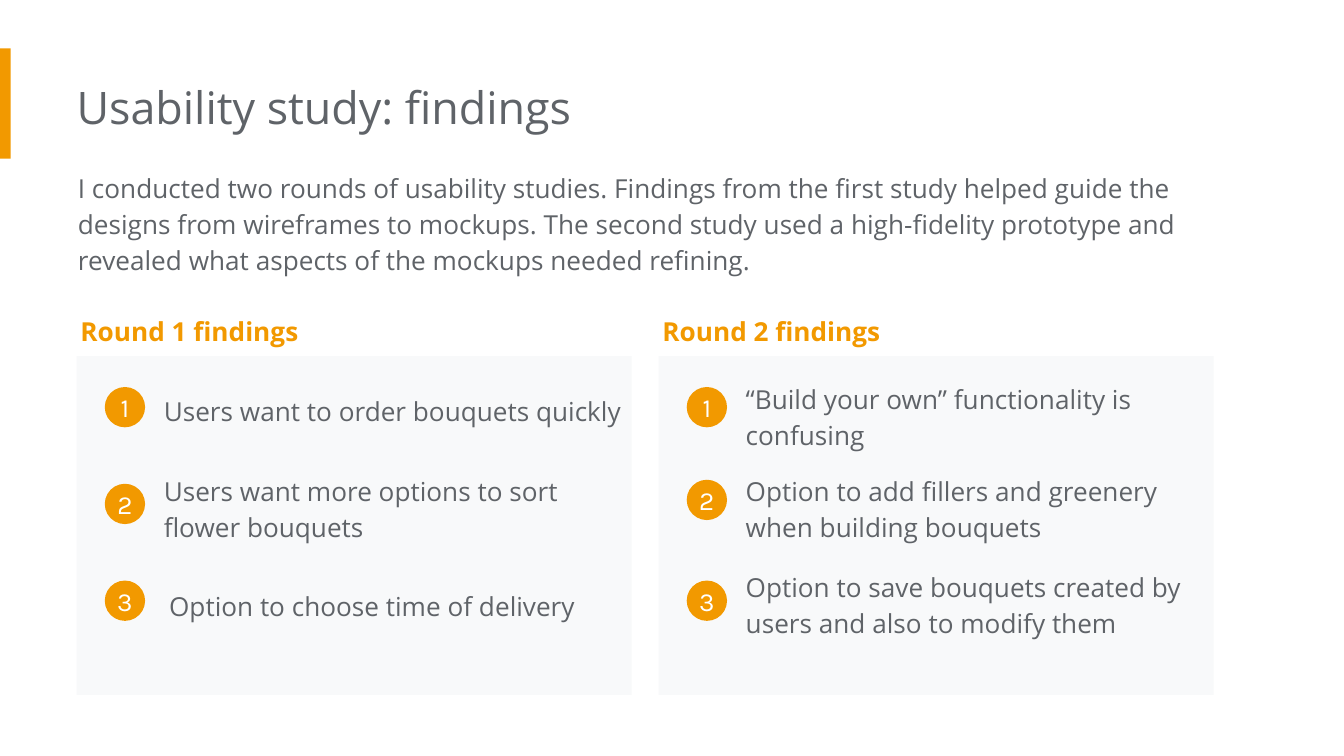
from pptx import Presentation
from pptx.dml.color import RGBColor
from pptx.enum.shapes import MSO_SHAPE as Preset
from pptx.enum.text import MSO_ANCHOR as Anchor, PP_ALIGN as Align
from pptx.util import Inches, Pt

ORANGE = RGBColor(0xF2, 0x99, 0x00)
GRAY = RGBColor(0x5F, 0x63, 0x68)
PALE = RGBColor(0xF8, 0xF9, 0xFA)
WHITE = RGBColor(0xFF, 0xFF, 0xFF)

TITLE = "Usability study: findings"
INTRO = (
    "I conducted two rounds of usability studies. Findings from the first study "
    "helped guide the designs from wireframes to mockups. The second study used "
    "a high-fidelity prototype and revealed what aspects of the mockups needed refining."
)
ROUNDS = [
    ("Round 1 findings", [
        dict(text="Users want to order bouquets quickly", indent=0.55, top=2.81, height=0.44, badge_top=2.88),
        dict(text="Users want more options to sort flower bouquets", indent=0.55, top=3.4, height=0.71, badge_top=3.6),
        dict(text="Option to choose time of delivery", indent=0.59, top=4.26, height=0.44, badge_top=4.32),
    ]),
    ("Round 2 findings", [
        dict(text="“Build your own” functionality is confusing", indent=0.55, top=2.72, height=0.71, badge_top=2.88),
        dict(text="Option to add fillers and greenery when building bouquets", indent=0.55, top=3.4, height=0.71, badge_top=3.57),
        dict(text="Option to save bouquets created by users and also to modify them", indent=0.55, top=4.12, height=0.71, badge_top=4.32),
    ]),
]

SLIDE_WIDTH = Inches(10)
SLIDE_HEIGHT = SLIDE_WIDTH * 9 // 16
MARGIN, COLUMN_PITCH = 0.57, 4.33
PANEL_TOP, PANEL_WIDTH, PANEL_HEIGHT = 2.65, 4.13, 2.52
TEXT_WIDTH, HEADING_HEIGHT = 3.65, 0.44
BADGE_INDENT, BADGE_SIZE = 0.21, 0.3

deck = Presentation()
deck.slide_width, deck.slide_height = SLIDE_WIDTH, SLIDE_HEIGHT
page = deck.slides.add_slide(deck.slide_layouts[6])


def write(box, text, size=14, font="Open Sans", color=GRAY, bold=False,
          spacing=1.15, align=Align.LEFT, anchor=Anchor.TOP, inset=0.1, left_inset=0.1):
    frame = box.text_frame
    frame.word_wrap = True
    frame.vertical_anchor = anchor
    frame.margin_left = Inches(left_inset)
    frame.margin_top = frame.margin_right = frame.margin_bottom = Inches(inset)
    para = frame.paragraphs[0]
    para.alignment, para.line_spacing = align, spacing
    span = para.add_run()
    span.text = text
    span.font.size, span.font.name = Pt(size), font
    span.font.bold, span.font.color.rgb = bold, color


def add_text(text, *place, **style):
    write(page.shapes.add_textbox(*map(Inches, place)), text, **style)


def add_shape(preset, color, *place):
    shape = page.shapes.add_shape(preset, *map(Inches, place))
    shape.shadow.inherit = False
    shape.fill.solid()
    shape.fill.fore_color.rgb = color
    shape.line.fill.background()
    return shape


add_shape(Preset.RECTANGLE, ORANGE, 0, 0.36, 0.08, 0.82)
add_text(TITLE, MARGIN, 0.49, 6.73, 0.61, size=24, spacing=1.0, left_inset=0)
add_text(INTRO, 0.58, 1.15, 8.61, 0.98, left_inset=0)

for column, (heading, findings) in enumerate(ROUNDS):
    left = MARGIN + column * COLUMN_PITCH
    add_shape(Preset.RECTANGLE, PALE, left, PANEL_TOP, PANEL_WIDTH, PANEL_HEIGHT)
    add_text(heading, left - 0.07, PANEL_TOP - HEADING_HEIGHT, TEXT_WIDTH, HEADING_HEIGHT,
             color=ORANGE, bold=True)
    for number, finding in enumerate(findings, 1):
        add_text(finding["text"], left + finding["indent"], finding["top"],
                 TEXT_WIDTH, finding["height"])
        badge = add_shape(Preset.OVAL, ORANGE, left + BADGE_INDENT, finding["badge_top"],
                          BADGE_SIZE, BADGE_SIZE)
        write(badge, str(number), font="Karla", color=WHITE, spacing=1.0,
              align=Align.CENTER, anchor=Anchor.MIDDLE, inset=0, left_inset=0)

deck.save("out.pptx")
